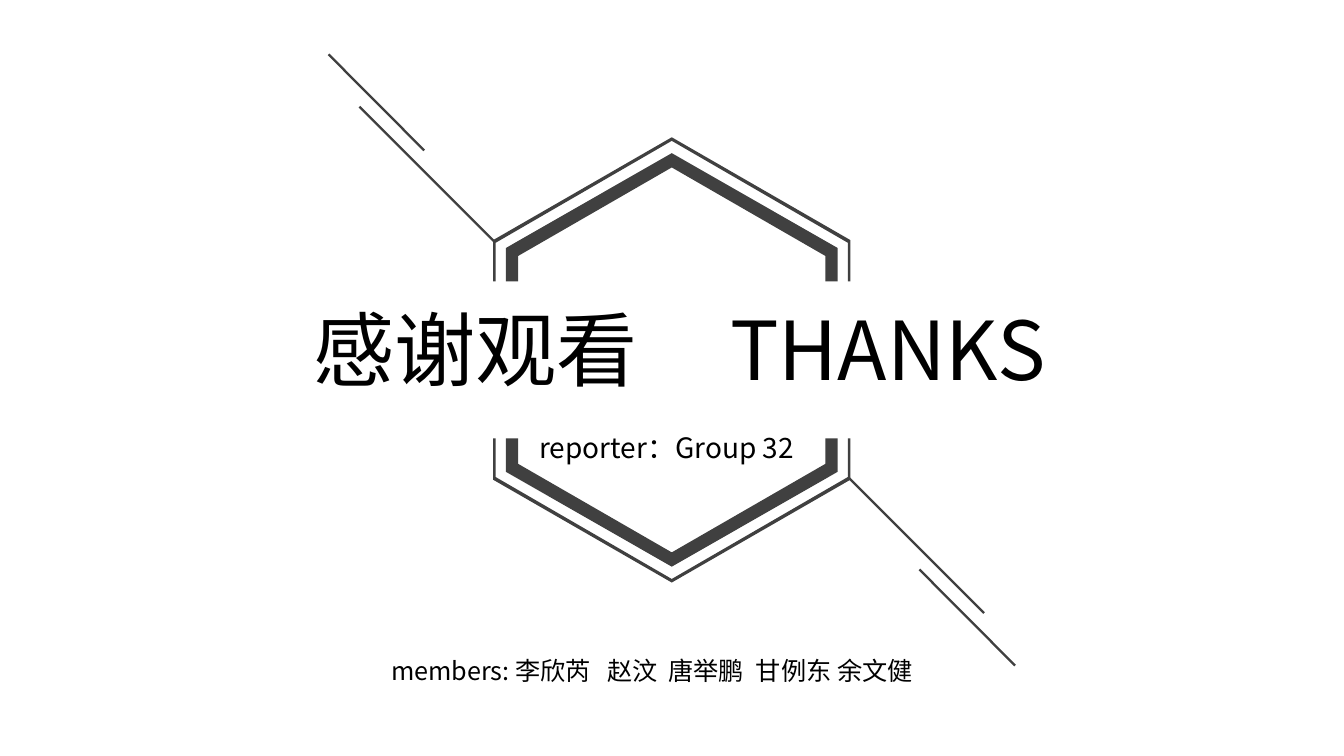
import pptx
import pptx.util
import pptx.dml.color
import pptx.enum.shapes
import pptx.enum.text
import pptx.oxml
import pptx.oxml.ns

COLORS = {"frame": "404040", "text": "000000"}
CENTER_X, CENTER_Y = 16.93, 9.07
FRAME_END = 1.98


def cm(value):
    return pptx.util.Cm(value)


def rgb(name):
    return pptx.dml.color.RGBColor.from_string(COLORS[name])


def write_text(box, text, size, font="Noto Sans CJK SC", color="text", spacing=0.9, tabs=()):
    para = box.text_frame.paragraphs[0]
    para.alignment = pptx.enum.text.PP_ALIGN.LEFT
    para.line_spacing = spacing
    span = para.add_run()
    span.text = text
    span.font.size = pptx.util.Pt(size)
    span.font.name = font
    span.font.color.rgb = rgb(color)
    properties = para._p.get_or_add_pPr()
    if tabs:
        stops = pptx.oxml.ns.qn("a:tabLst")
        tab_list = properties.makeelement(stops, {})
        properties.append(tab_list)
        for position in tabs:
            stop = tab_list.makeelement(pptx.oxml.ns.qn("a:tab"), {"pos": str(cm(position)), "algn": "l"})
            tab_list.append(stop)
    run_properties = span._r.get_or_add_rPr()
    east_asian = run_properties.makeelement(pptx.oxml.ns.qn("a:ea"), {"typeface": font})
    run_properties.append(east_asian)


class HexagonPage:
    def __init__(self, deck):
        self.page = deck.slides.add_slide(deck.slide_layouts[6])
        self.line_width = pptx.util.Pt(1.63)

    def half_frame(self, outer, inner, side):
        def edge(width, shoulder, apex):
            return [(-width, FRAME_END), (-width, shoulder), (0, apex),
                    (width, shoulder), (width, FRAME_END)]

        outline = edge(*inner) + edge(*outer)[::-1]
        points = [(cm(CENTER_X + x), cm(CENTER_Y + side * y)) for x, y in outline]
        builder = self.page.shapes.build_freeform(*points[0])
        builder.add_line_segments(points[1:], close=True)
        shape = builder.convert_to_shape()
        shape.shadow.inherit = False
        shape.fill.solid()
        shape.fill.fore_color.rgb = rgb("frame")
        shape.line.fill.background()

    def ray(self, start, end, side):
        ends = [cm(middle + side * offset)
                for point in (start, end)
                for middle, offset in zip((CENTER_X, CENTER_Y), point)]
        line = self.page.shapes.add_connector(pptx.enum.shapes.MSO_CONNECTOR.STRAIGHT, *ends)
        line.line.color.rgb = rgb("frame")
        line.line.width = self.line_width
        properties = line._element.spPr
        properties.append(properties.makeelement(pptx.oxml.ns.qn("a:effectLst"), {}))

    def text(self, left, top, width, height, text, size, **style):
        box = self.page.shapes.add_textbox(cm(left), cm(top), cm(width), cm(height))
        frame = box.text_frame
        frame.word_wrap = True
        frame.margin_left = frame.margin_right = 0
        frame.margin_top = frame.margin_bottom = 0
        write_text(box, text, size, **style)


def main():
    deck = pptx.Presentation()
    deck.slide_width, deck.slide_height = cm(33.87), cm(19.05)
    page = HexagonPage(deck)
    for side in (-1, 1):
        page.half_frame((4.5, 3.02, 5.61), (4.44, 2.95, 5.52), side)
        page.half_frame((4.18, 2.82, 5.21), (3.87, 2.62, 4.85), side)
        page.ray((4.46, 2.97), (7.87, 6.38), side)
        page.ray((6.24, 5.28), (8.65, 7.7), side)
    page.text(7.9, 7.82, 19, 2.08, "感谢观看\tTHANKS", 58, tabs=[10.5])
    page.text(13.59, 10.95, 7.25, 1.55, "reporter：Group 32", 20)
    page.text(9.86, 16.61, 14.73, 1.4, "members: 李欣芮\t赵汶\t唐举鹏\t甘例东 余文健", 18,
              tabs=[5.44, 6.98, 9.19])
    deck.save("out.pptx")


if __name__ == "__main__":
    main()
